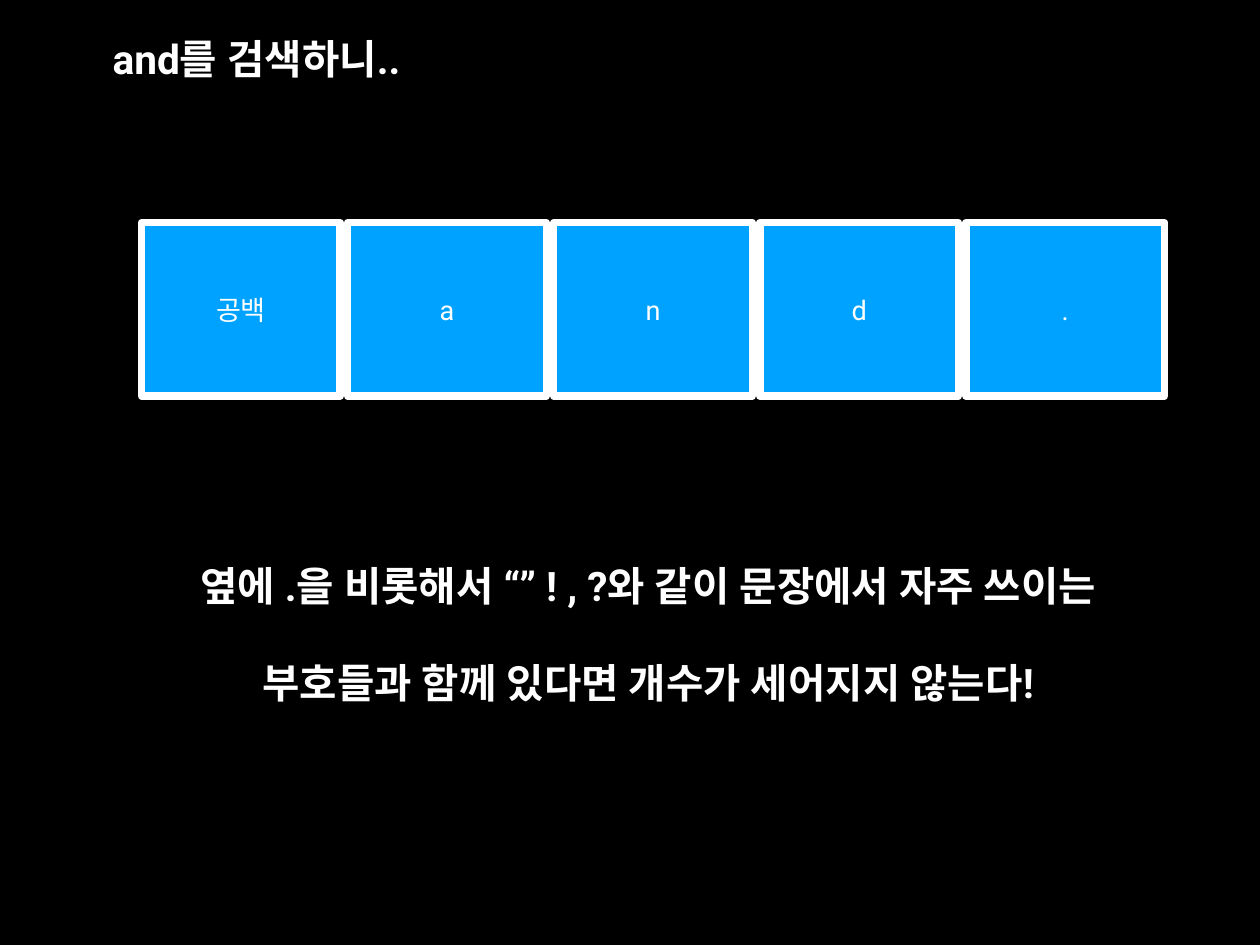
from dataclasses import dataclass

from lxml.etree import SubElement
from pptx import Presentation
from pptx.dml.color import RGBColor
from pptx.enum.shapes import MSO_SHAPE
from pptx.enum.text import MSO_ANCHOR, PP_ALIGN
from pptx.oxml.ns import qn
from pptx.shapes.autoshape import Shape
from pptx.slide import Slide
from pptx.util import Pt

FONT = "Roboto"
WHITE, BLACK, BLUE = "FFFFFF", "000000", "00A2FF"
INSET = 4


@dataclass
class Frame:
    left: float
    top: float
    width: float
    height: float

    def lengths(self) -> tuple[Pt, Pt, Pt, Pt]:
        return Pt(self.left), Pt(self.top), Pt(self.width), Pt(self.height)


@dataclass
class TextStyle:
    size: float
    bold: bool = False
    gap: float = 0


HEADING = TextStyle(33, bold=True)
EXPLANATION = TextStyle(33, bold=True, gap=39)
LETTER = TextStyle(22)

FIRST_CELL = Frame(115, 181, 161.5, 141)
CELL_PITCH = 167.5
CELLS = ["공백", "a", "n", "d", "."]


def color(value: str) -> RGBColor:
    return RGBColor.from_string(value)


def write(shape: Shape, lines: list[str], style: TextStyle) -> None:
    text_frame = shape.text_frame
    text_frame.word_wrap = True
    text_frame.vertical_anchor = MSO_ANCHOR.MIDDLE
    text_frame.margin_left = text_frame.margin_right = Pt(INSET)
    text_frame.margin_top = text_frame.margin_bottom = Pt(INSET)
    text_frame.text = "\n".join(lines)
    for index, paragraph in enumerate(text_frame.paragraphs):
        paragraph.alignment = PP_ALIGN.CENTER
        paragraph.line_spacing = 1.0
        paragraph.space_before = Pt(style.gap if index else 0)
        font = paragraph.font
        font.name, font.size, font.bold = FONT, Pt(style.size), style.bold
        font.color.rgb = color(WHITE)
        # Korean letters take the same typeface
        properties = paragraph._p.pPr.find(qn("a:defRPr"))
        SubElement(properties, qn("a:ea"), typeface=FONT)


def add_cell(page: Slide, frame: Frame, letter: str) -> None:
    cell = page.shapes.add_shape(MSO_SHAPE.RECTANGLE, *frame.lengths())
    cell.shadow.inherit = False
    cell.fill.solid()
    cell.fill.fore_color.rgb = color(BLUE)
    cell.line.color.rgb = color(WHITE)
    cell.line.width = Pt(6)
    write(cell, [letter], LETTER)


def main() -> None:
    deck = Presentation()
    deck.slide_width, deck.slide_height = Pt(1024), Pt(768)
    page = deck.slides.add_slide(deck.slide_layouts[5])
    page.background.fill.solid()
    page.background.fill.fore_color.rgb = color(BLACK)

    # Heading
    title = page.shapes.title
    title.left, title.top, title.width, title.height = Frame(42.5, 23, 332, 48).lengths()
    write(title, ["and를 검색하니.."], HEADING)

    # Row of characters
    for index, letter in enumerate(CELLS):
        left = FIRST_CELL.left + index * CELL_PITCH
        add_cell(page, Frame(left, FIRST_CELL.top, FIRST_CELL.width, FIRST_CELL.height), letter)

    # Explanation
    box = page.shapes.add_textbox(*Frame(72, 451, 909.5, 128).lengths())
    write(box, ["옆에 .을 비롯해서 “” ! , ?와 같이 문장에서 자주 쓰이는",
                "부호들과 함께 있다면 개수가 세어지지 않는다!"], EXPLANATION)

    deck.save("out.pptx")


if __name__ == "__main__":
    main()
